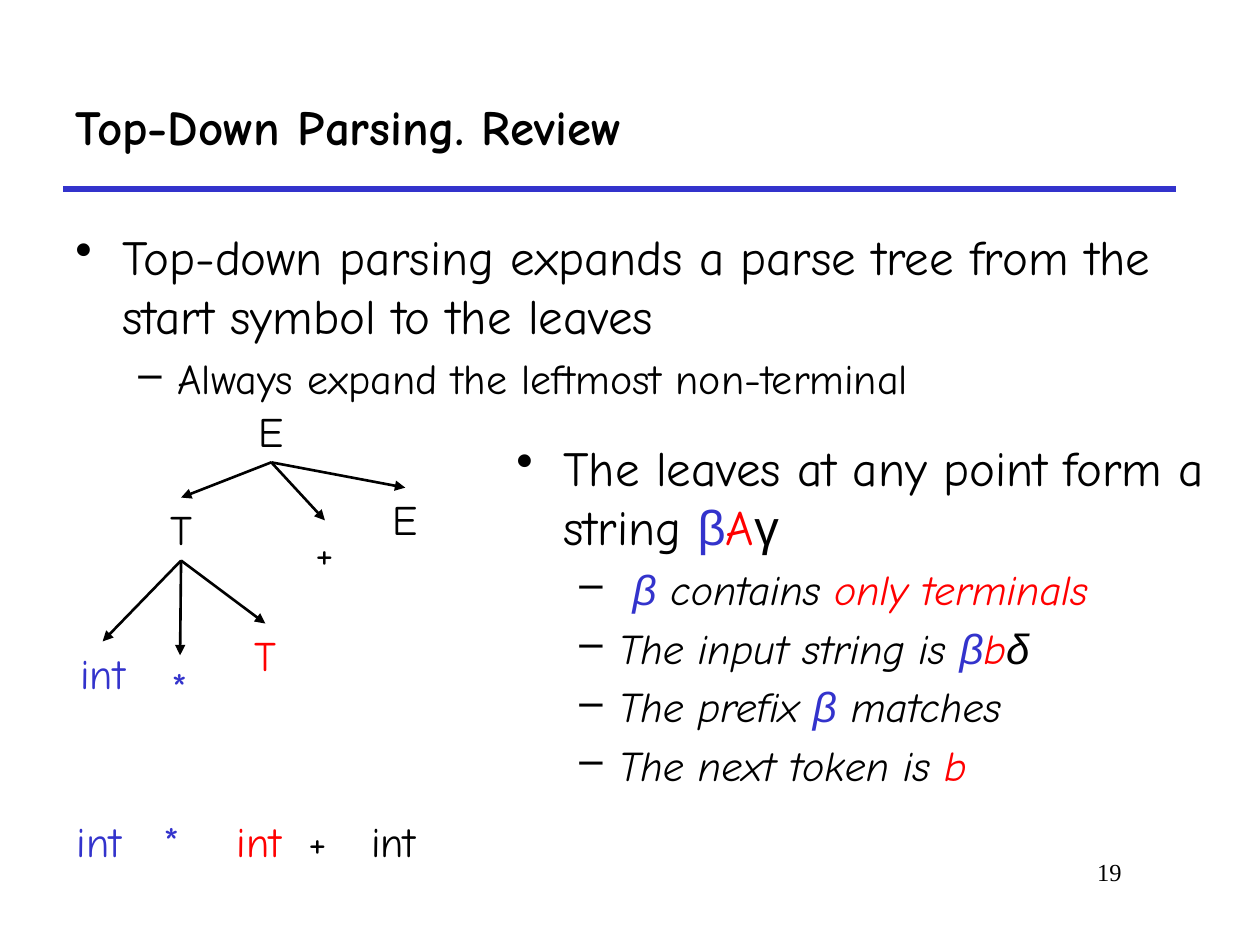
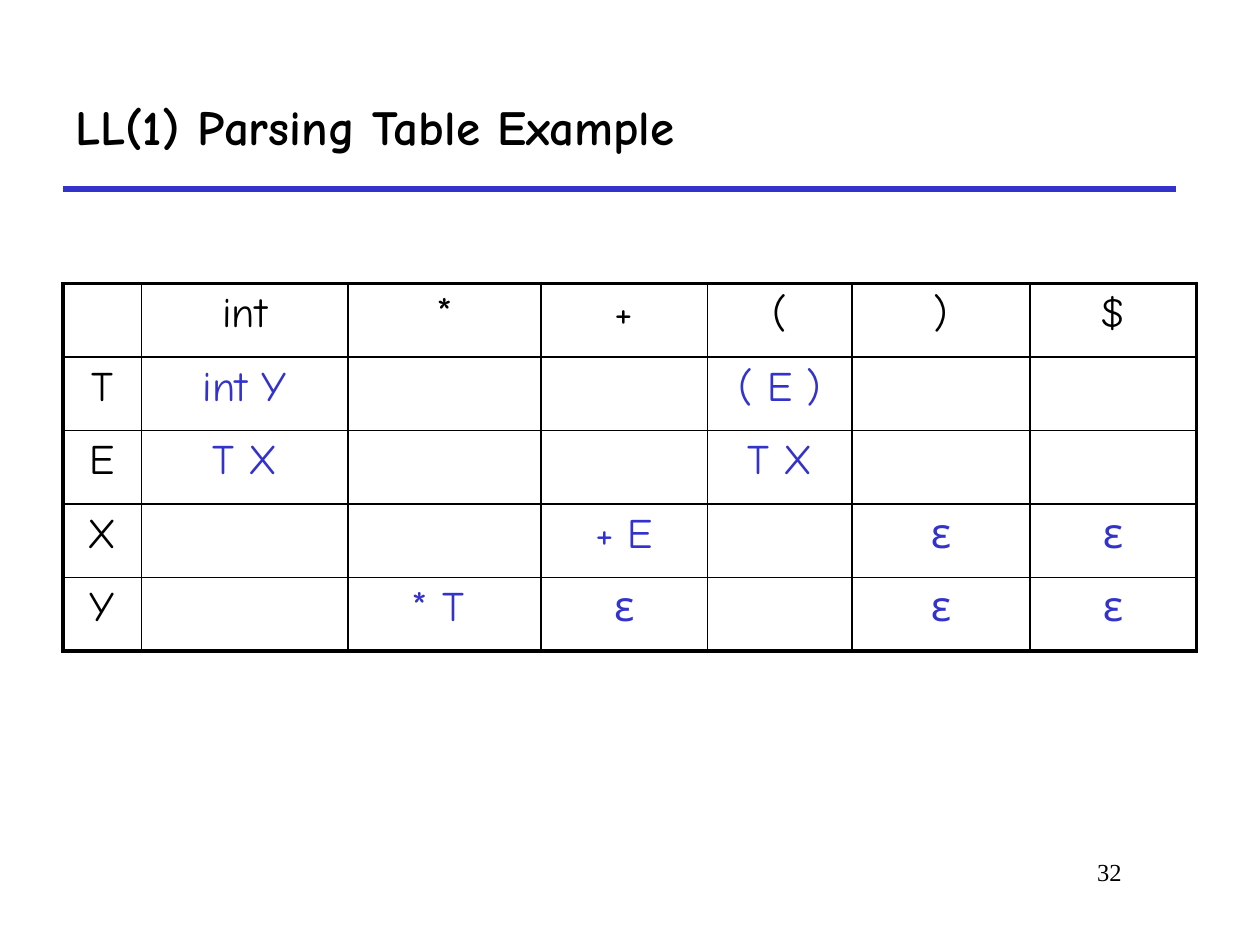
import dataclasses

import lxml.etree
import pptx
import pptx.dml.color
import pptx.enum.shapes
import pptx.enum.text
import pptx.oxml.ns
import pptx.util

Cm = pptx.util.Cm
Pt = pptx.util.Pt
qn = pptx.oxml.ns.qn
ALIGN = pptx.enum.text.PP_ALIGN


@dataclasses.dataclass(frozen=True)
class Theme:
    ink: str = "000000"
    blue: str = "3333CC"
    red: str = "FF0000"
    face: str = "Comic Neue"
    greek_face: str = "Arial"
    number_face: str = "Times New Roman"
    heading: int = 28
    detail: int = 24
    page_number: int = 14
    title_rule: float = 3
    branch: float = 1.5
    table_frame: float = 2.25
    table_grid: float = 1


THEME = Theme()
INK, BLUE, RED = THEME.ink, THEME.blue, THEME.red

REVIEW_TITLE, REVIEW_PAGE = "Top-Down Parsing. Review", "19"
EXPANSION = [
    (0, [("Top-down parsing expands a parse tree from the start symbol to the leaves", INK)]),
    (1, [("Always expand the leftmost non-terminal", INK)]),
]
LEAVES = [
    (0, [("The leaves at any point form a string ", INK), ("β", BLUE), ("A", RED), ("γ", INK)]),
    (1, [(" ", INK), ("β", BLUE), (" contains ", INK), ("only terminals", RED)]),
    (1, [("The input string is ", INK), ("β", BLUE), ("b", RED), ("δ", INK)]),
    (1, [("The prefix ", INK), ("β", BLUE), (" matches", INK)]),
    (1, [("The next token is ", INK), ("b", RED)]),
]
PARSE_TREE = {
    "root": ("E", INK, 5.47, 8.05, None),
    "left term": ("T", INK, 3.65, 10.03, "root"),
    "plus": ("+", INK, 6.55, 10.49, "root"),
    "right expression": ("E", INK, 8.17, 9.83, "root"),
    "integer": ("int", BLUE, 2.07, 12.93, "left term"),
    "times": ("*", BLUE, 3.63, 13.21, "left term"),
    "open term": ("T", RED, 5.35, 12.57, "left term"),
}
SYMBOL_WIDTHS = {"E": 1.04, "T": 1.09, "+": 0.91, "int": 1.6, "*": 0.97}
INPUT_TOKENS = [("int", BLUE), ("\t*", BLUE), ("\tint", RED), ("\t+", INK), ("\tint", INK)]
TOKEN_STOPS = [1.75, 3.22, 4.67, 5.93]

TABLE_TITLE, TABLE_PAGE = "LL(1) Parsing Table Example", "32"
PARSING_TABLE = [
    ["", "int", "*", "+", "(", ")", "$"],
    ["T", "int Y", "", "", "( E )", "", ""],
    ["E", "T X", "", "", "T X", "", ""],
    ["X", "", "", "+ E", "", "ε", "ε"],
    ["Y", "", "* T ", "ε", "", "ε", "ε"],
]
COLUMN_WIDTHS = [1.58, 4.17, 3.89, 3.35, 2.92, 3.58, 3.36]
ROW_HEIGHT = 1.48
MARGIN = 1.27
LINE_HEIGHT = 1.27
INDENTS = [(0.95, -0.95, "•"), (2.06, -0.79, "–")]


def rgb(colour):
    return pptx.dml.color.RGBColor.from_string(colour)


def set_font(font, size, colour=INK, face=THEME.face):
    font.size = Pt(size)
    font.name = face
    font.color.rgb = rgb(colour)


def add_runs(paragraph, pieces, size):
    set_font(paragraph.font, size, pieces[0][1])
    for text, colour in pieces:
        run = paragraph.add_run()
        run.text = text
        if colour != pieces[0][1]:
            run.font.color.rgb = rgb(colour)
        if text in "βγδ":
            run.font.name = THEME.greek_face


def add_box(slide, left, top, width, height, wrap=True):
    box = slide.shapes.add_textbox(Cm(left), Cm(top), Cm(width), Cm(height))
    box.text_frame.word_wrap = wrap
    return box


def add_line(slide, start, end, width, colour):
    line = slide.shapes.add_connector(
        pptx.enum.shapes.MSO_CONNECTOR.STRAIGHT, *[Cm(value) for value in start + end])
    line.line.width = Pt(width)
    line.line.color.rgb = rgb(colour)
    lxml.etree.SubElement(line._element.spPr, qn("a:effectLst"))
    return line


def add_framed_slide(deck, title, page):
    slide = deck.slides.add_slide(deck.slide_layouts[6])
    add_line(slide, (MARGIN, 3.81), (23.71, 3.81), THEME.title_rule, BLUE)
    heading = add_box(slide, MARGIN, 1.27, 22.44, 2.54).text_frame
    heading.vertical_anchor = pptx.enum.text.MSO_ANCHOR.MIDDLE
    heading.text = title
    set_font(heading.paragraphs[0].font, THEME.heading)
    heading.paragraphs[0].font.bold = True
    number = add_box(slide, 17.57, 17.15, 5.29, 1.27).text_frame
    number.text = page
    number.paragraphs[0].alignment = ALIGN.RIGHT
    set_font(number.paragraphs[0].font, THEME.page_number, face=THEME.number_face)
    return slide


def add_bullets(slide, points, left, top, width, height, italic_details=False):
    frame = add_box(slide, left, top, width, height).text_frame
    for index, (level, pieces) in enumerate(points):
        paragraph = frame.add_paragraph() if index else frame.paragraphs[0]
        paragraph.level = level
        margin, hanging, mark = INDENTS[level]
        properties = paragraph._p.get_or_add_pPr()
        properties.set("marL", str(Cm(margin)))
        properties.set("indent", str(Cm(hanging)))
        lxml.etree.SubElement(properties, qn("a:buChar"), char=mark)
        size = THEME.detail if level else THEME.heading
        paragraph.space_before = Pt(size * 0.2)
        add_runs(paragraph, pieces, size)
        if level and italic_details:
            paragraph.font.italic = True


def add_parse_tree(slide):
    nodes = {}
    for key, (symbol, colour, centre, top, parent) in PARSE_TREE.items():
        width = SYMBOL_WIDTHS[symbol]
        node = add_box(slide, centre - width / 2, top, width, LINE_HEIGHT, wrap=False)
        node.text_frame.auto_size = pptx.enum.text.MSO_AUTO_SIZE.SHAPE_TO_FIT_TEXT
        paragraph = node.text_frame.paragraphs[0]
        paragraph.alignment = ALIGN.CENTER
        add_runs(paragraph, [(symbol, colour)], THEME.detail)
        nodes[key] = node
        if parent:
            branch = add_line(slide, (0, 0), (centre, top), THEME.branch, INK)
            branch.begin_connect(nodes[parent], 2)
            branch.end_connect(node, 0)
            lxml.etree.SubElement(branch.line._get_or_add_ln(), qn("a:tailEnd"), type="triangle")


def add_input_string(slide):
    paragraph = add_box(slide, 1.3, 16.31, 7.62, LINE_HEIGHT).text_frame.paragraphs[0]
    stops = lxml.etree.SubElement(paragraph._p.get_or_add_pPr(), qn("a:tabLst"))
    for stop in TOKEN_STOPS:
        lxml.etree.SubElement(stops, qn("a:tab"), pos=str(Cm(stop)), algn="l")
    add_runs(paragraph, INPUT_TOKENS, THEME.detail)


def set_borders(cell, outer_sides):
    properties = cell._tc.get_or_add_tcPr()
    for position, side in enumerate("LRTB"):
        width = THEME.table_frame if side in outer_sides else THEME.table_grid
        border = lxml.etree.Element(qn("a:ln" + side), w=str(Pt(width)))
        fill = lxml.etree.SubElement(border, qn("a:solidFill"))
        lxml.etree.SubElement(fill, qn("a:srgbClr"), val=INK)
        properties.insert(position, border)


def add_parsing_table(slide):
    row_count, column_count = len(PARSING_TABLE), len(COLUMN_WIDTHS)
    table = slide.shapes.add_table(
        row_count, column_count, Cm(MARGIN), Cm(5.72),
        Cm(sum(COLUMN_WIDTHS)), Cm(ROW_HEIGHT * row_count)).table
    table.first_row = table.horz_banding = False
    for column, width in zip(table.columns, COLUMN_WIDTHS):
        column.width = Cm(width)
    for r, entries in enumerate(PARSING_TABLE):
        table.rows[r].height = Cm(ROW_HEIGHT)
        for c, entry in enumerate(entries):
            cell = table.cell(r, c)
            cell.fill.background()
            edges = {"L": c == 0, "R": c == column_count - 1,
                     "T": r == 0, "B": r == row_count - 1}
            set_borders(cell, [side for side, outer in edges.items() if outer])
            if entry:
                paragraph = cell.text_frame.paragraphs[0]
                paragraph.alignment = ALIGN.CENTER
                paragraph.space_before = Pt(THEME.detail * 0.2)
                add_runs(paragraph, [(entry, BLUE if r and c else INK)], THEME.detail)


def main():
    deck = pptx.Presentation()
    deck.slide_width, deck.slide_height = Cm(25.4), Cm(19.05)
    review = add_framed_slide(deck, REVIEW_TITLE, REVIEW_PAGE)
    add_bullets(review, EXPANSION, MARGIN, 4.45, 23.06, 12.27)
    add_parse_tree(review)
    add_input_string(review)
    add_bullets(review, LEAVES, 10.16, 8.69, 14.4, 8.05, italic_details=True)
    add_parsing_table(add_framed_slide(deck, TABLE_TITLE, TABLE_PAGE))
    deck.save("out.pptx")


if __name__ == "__main__":
    main()
